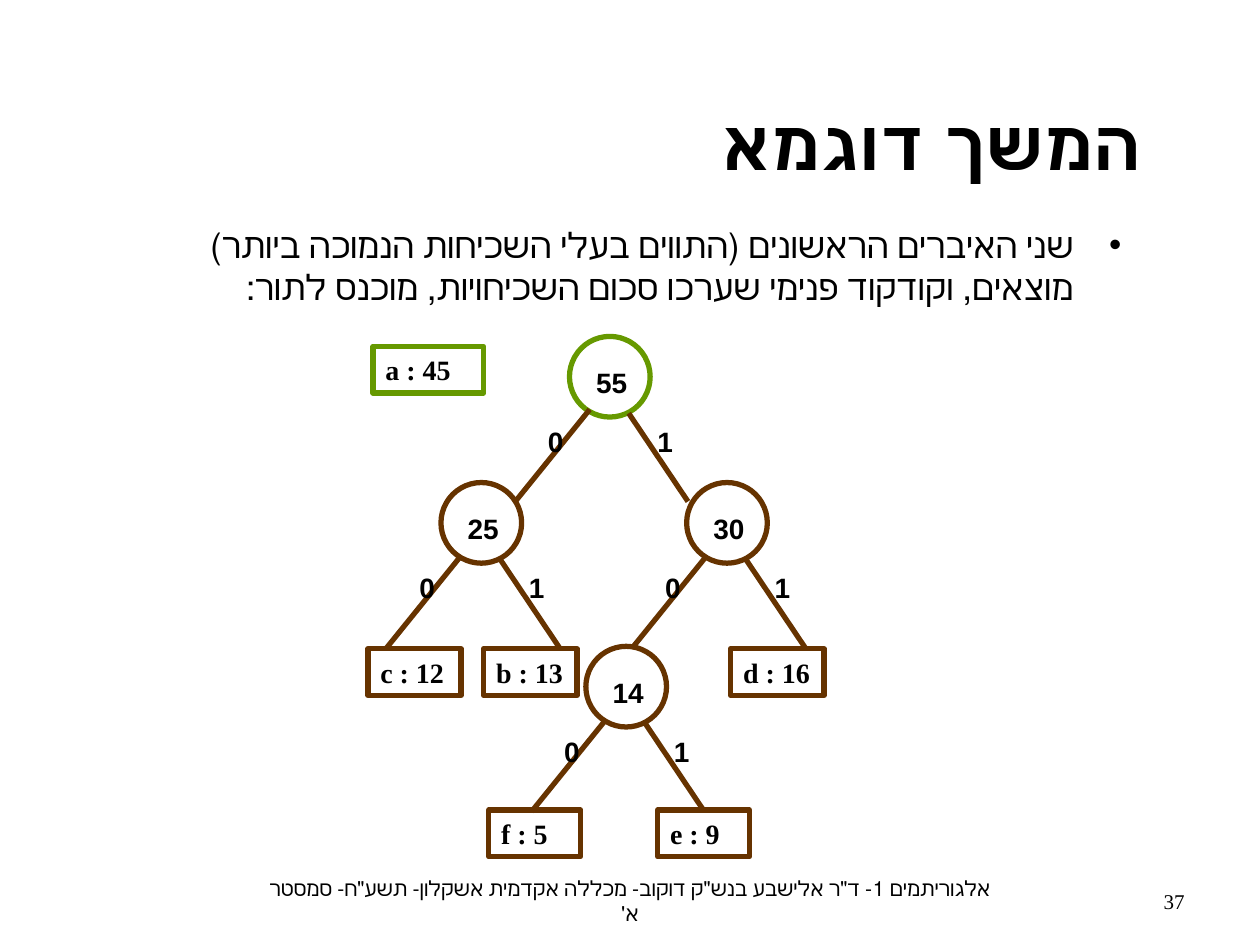
from pptx import Presentation
from pptx.dml.color import RGBColor
from pptx.enum.shapes import MSO_CONNECTOR, MSO_SHAPE
from pptx.enum.text import MSO_ANCHOR, PP_ALIGN
from pptx.oxml.ns import qn
from pptx.util import Inches, Pt
from lxml import etree

LEFT, CENTER, RIGHT = PP_ALIGN.LEFT, PP_ALIGN.CENTER, PP_ALIGN.RIGHT
TOP, MIDDLE = MSO_ANCHOR.TOP, MSO_ANCHOR.MIDDLE

THEME = {
    "sans": "Arial", "serif": "Times New Roman",
    "title": 40, "body": 20, "tree": 16, "footer": 12, "line": 3,
    "text": RGBColor(0, 0, 0),
    "queued": RGBColor(0x66, 0x99, 0x00),
    "merged": RGBColor(0x66, 0x33, 0x00),
}

TITLE = "המשך דוגמא"
BODY = ("שני האיברים הראשונים (התווים בעלי השכיחות הנמוכה ביותר) "
        "מוצאים, וקודקוד פנימי שערכו סכום השכיחויות, מוכנס לתור:")
FOOTER = ("אלגוריתמים 1- ד\"ר אלישבע בנש\"ק דוקוב- "
          "מכללה אקדמית אשקלון- תשע\"ח- סמסטר א'")
PAGE = "37"

# text, left, top, width, colour
LEAVES = [
    ("a : 45", 2.96, 2.75, 0.88, "queued"),
    ("c : 12", 2.92, 5.15, 0.74, "merged"),
    ("b : 13", 3.84, 5.15, 0.74, "merged"),
    ("d : 16", 5.8, 5.15, 0.74, "merged"),
    ("f : 5", 3.88, 6.43, 0.73, "merged"),
    ("e : 9", 5.22, 6.43, 0.73, "merged"),
]
# text, left, top, colour
NODES = [
    ("14", 4.65, 5.13, "merged"),
    ("30", 5.45, 3.83, "merged"),
    ("55", 4.52, 2.67, "queued"),
    ("25", 3.5, 3.83, "merged"),
]
NODE_SIZE, ROW_H = 0.64, 0.37
# bit, edge start, edge end, label corner, all measured from the node's corner
BRANCHES = [
    ("0", (0.16, 0.58), (-0.43, 1.31), (-0.27, 0.65)),
    ("1", (0.47, 0.61), (0.94, 1.31), (0.6, 0.65)),
]


def put_text(sp, text, size, font, bold=False, align=LEFT, anchor=TOP, rtl=False):
    tf = sp.text_frame
    tf.text = text
    tf.word_wrap = True
    tf.vertical_anchor = anchor
    p = tf.paragraphs[0]
    if rtl:
        p._p.get_or_add_pPr().set("rtl", "1")
    p.alignment = align
    p.space_before = Pt(0)
    f = p.runs[0].font
    f.size, f.name, f.bold = Pt(THEME[size]), THEME[font], bold
    f.color.rgb = THEME["text"]


def place(sp, left, top, width, height):
    sp.left, sp.top = Inches(left), Inches(top)
    sp.width, sp.height = Inches(width), Inches(height)


def add_text(s, box, text, size, font, **style):
    sp = s.shapes.add_textbox(*map(Inches, box))
    put_text(sp, text, size, font, **style)


def add_outline(s, kind, box, colour):
    sp = s.shapes.add_shape(kind, *map(Inches, box))
    sp.shadow.inherit = False
    sp.fill.background()
    sp.line.color.rgb = THEME[colour]
    sp.line.width = Pt(THEME["line"])
    return sp


def add_edge(s, start, end):
    c = s.shapes.add_connector(MSO_CONNECTOR.STRAIGHT, *map(Inches, start + end))
    c.line.color.rgb = THEME["merged"]
    c.line.width = Pt(THEME["line"])
    etree.SubElement(c._element.spPr, qn("a:effectLst"))


def add_leaf(s, text, left, top, width, colour):
    sp = add_outline(s, MSO_SHAPE.RECTANGLE, (left, top, width, ROW_H), colour)
    put_text(sp, text, "tree", "serif", bold=True)
    sp.text_frame.margin_right = 0


def add_node(s, text, left, top, colour):
    """Draw an inner node with its two labelled branches."""
    def shift(point):
        return left + point[0], top + point[1]

    add_outline(s, MSO_SHAPE.OVAL, (left, top, NODE_SIZE, NODE_SIZE), colour)
    for bit, start, end, corner in BRANCHES:
        add_edge(s, shift(start), shift(end))
        add_text(s, shift(corner) + (0.33, ROW_H), bit, "tree", "sans", bold=True)
    add_text(s, shift((0.07, 0.18)) + (0.53, ROW_H), text, "tree", "sans",
             bold=True, align=CENTER)


def main():
    prs = Presentation()
    prs.slide_width, prs.slide_height = Inches(10), Inches(7.5)
    s = prs.slides.add_slide(prs.slide_layouts[1])

    title, body = s.placeholders
    place(title, 1.41, 0.55, 7.75, 1.17)
    put_text(title, TITLE, "title", "sans", bold=True, align=RIGHT,
             anchor=MIDDLE, rtl=True)
    place(body, 1.37, 1.72, 7.63, 0.77)
    pPr = body.text_frame.paragraphs[0]._p.get_or_add_pPr()
    pPr.set("marL", "0")
    pPr.set("indent", "0")
    etree.SubElement(pPr, qn("a:buNone"))
    put_text(body, BODY, "body", "serif", align=RIGHT, rtl=True)

    for leaf in LEAVES:
        add_leaf(s, *leaf)
    for node in NODES:
        add_node(s, *node)

    add_text(s, (2.03, 6.95, 5.94, 0.4), FOOTER, "footer", "serif",
             align=CENTER, anchor=MIDDLE, rtl=True)
    add_text(s, (7.17, 6.95, 2.33, 0.4), PAGE, "footer", "serif",
             align=RIGHT, anchor=MIDDLE)
    prs.save("out.pptx")


if __name__ == "__main__":
    main()
